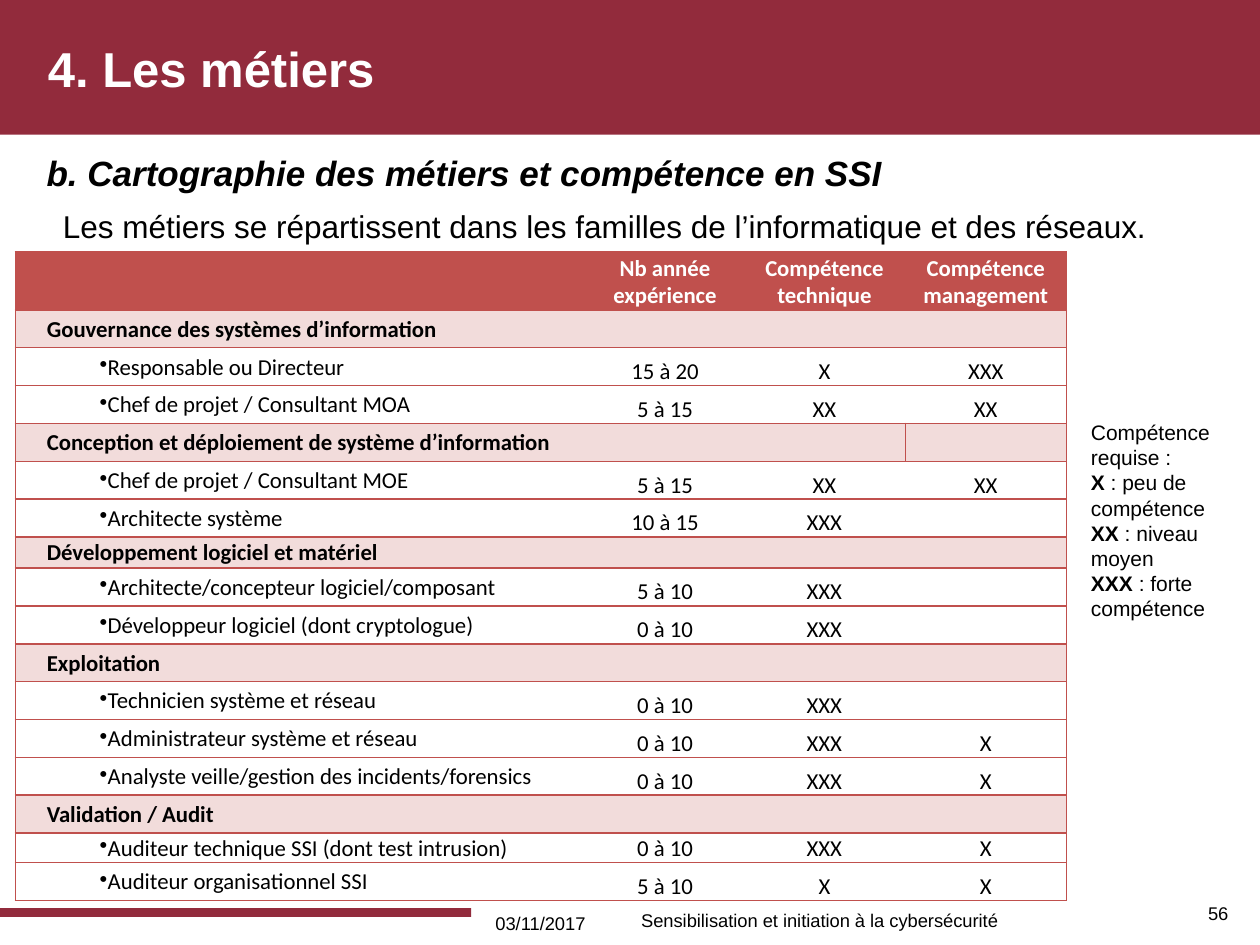
import pptx
import pptx.util
from pptx.dml.color import RGBColor
from pptx.enum.shapes import MSO_SHAPE
from pptx.enum.text import MSO_ANCHOR, MSO_AUTO_SIZE, PP_ALIGN
from pptx.oxml.ns import qn
from lxml import etree

Pt = pptx.util.Pt

# Colours
BURGUNDY = RGBColor(0x92, 0x2B, 0x3C)
RED = RGBColor(0xC0, 0x50, 0x4D)
PINK = RGBColor(0xF2, 0xDC, 0xDB)
WHITE = RGBColor(0xFF, 0xFF, 0xFF)
BLACK = RGBColor(0, 0, 0)

# Content
TITLE = "4. Les métiers"
SUBTITLE = "b. Cartographie des métiers et compétence en SSI"
INTRO = "Les métiers se répartissent dans les familles de l’informatique et des réseaux."
HEADERS = ["", "Nb année\nexpérience", "Compétence\ntechnique", "Compétence\nmanagement"]
FAMILIES = [
    ("Gouvernance des systèmes d’information", [
        ("Responsable ou Directeur", "15 à 20", "X", "XXX"),
        ("Chef de projet / Consultant MOA", "5 à 15", "XX", "XX")]),
    ("Conception et déploiement de système d’information", [
        ("Chef de projet / Consultant MOE", "5 à 15", "XX", "XX"),
        ("Architecte système", "10 à 15", "XXX", "")]),
    ("Développement logiciel et matériel", [
        ("Architecte/concepteur logiciel/composant", "5 à 10", "XXX", ""),
        ("Développeur logiciel (dont cryptologue)", "0 à 10", "XXX", "")]),
    ("Exploitation", [
        ("Technicien système et réseau", "0 à 10", "XXX", ""),
        ("Administrateur système et réseau", "0 à 10", "XXX", "X"),
        ("Analyste veille/gestion des incidents/forensics", "0 à 10", "XXX", "X")]),
    ("Validation / Audit", [
        ("Auditeur technique SSI (dont test intrusion)", "0 à 10", "XXX", "X"),
        ("Auditeur organisationnel SSI", "5 à 10", "X", "X")]),
]
LEGEND = [
    [("Compétence requise :", False)],
    [("X", True), (" : peu de compétence", False)],
    [("XX", True), (" : niveau moyen", False)],
    [("XXX ", True), (": forte compétence", False)],
]
FOOTERS = [  # text, left, top, width, alignment
    ("03/11/2017", 269.3, 513.4, 79.2, PP_ALIGN.CENTER),
    ("Sensibilisation et initiation à la cybersécurité", 359.3, 511.2, 239, PP_ALIGN.LEFT),
    ("56", 683.3, 507.6, 33.8, PP_ALIGN.LEFT),
]

# Table geometry
COLUMN_WIDTHS = [326.2, 90, 92.2, 92.2]
ROW_HEIGHT = 21.64
SPECIAL_HEIGHTS = {0: 33.1, 7: 17.8, 15: 16.9}
MERGED_ROW = 4


def add_span(para, text, size, color=BLACK, bold=False, italic=False, font="Arial"):
    span = para.add_run()
    span.text = text
    span.font.name = font
    span.font.size = Pt(size)
    span.font.bold = bold
    span.font.italic = italic
    span.font.color.rgb = color


def place(shape, left, top, width, height):
    shape.left, shape.top = Pt(left), Pt(top)
    shape.width, shape.height = Pt(width), Pt(height)


def add_text(page, left, top, width, height, paragraphs, size,
             align=PP_ALIGN.LEFT, anchor=MSO_ANCHOR.TOP):
    box = page.shapes.add_textbox(Pt(left), Pt(top), Pt(width), Pt(height))
    frame = box.text_frame
    frame.word_wrap = True
    frame.vertical_anchor = anchor
    for number, spans in enumerate(paragraphs):
        para = frame.add_paragraph() if number else frame.paragraphs[0]
        para.alignment = align
        for text, bold in spans:
            add_span(para, text, size, bold=bold)


def add_border(cell, side, width=1):
    line = etree.SubElement(cell._tc.get_or_add_tcPr(), qn("a:ln" + side), w=str(Pt(width)))
    fill = etree.SubElement(line, qn("a:solidFill"))
    etree.SubElement(fill, qn("a:srgbClr"), val=str(RED))


def set_bullet(para, char=None):
    properties = para._p.get_or_add_pPr()
    properties.set("marL", "0")
    properties.set("indent", "0")
    if char:
        etree.SubElement(properties, qn("a:buChar"), char=char)
    else:
        etree.SubElement(properties, qn("a:buNone"))


def fill_cell(cell, text, column, kind):
    # Borders come before the fill in the cell properties
    if column == 0:
        add_border(cell, "L")
    if column == 3:
        if kind == "merged":
            add_border(cell, "L", 0.5)
        add_border(cell, "R")
    add_border(cell, "T")
    add_border(cell, "B")
    cell.fill.solid()
    cell.fill.fore_color.rgb = {"header": RED, "job": WHITE}.get(kind, PINK)
    job_name = kind == "job" and column == 0
    cell.margin_left = Pt(48.2 if job_name else 18 if column == 0 else 0.7)
    cell.margin_right = cell.margin_top = Pt(0.7)
    cell.margin_bottom = Pt(0)
    cell.vertical_anchor = MSO_ANCHOR.BOTTOM if column else MSO_ANCHOR.MIDDLE
    for number, line in enumerate(text.split("\n")):
        para = cell.text_frame.add_paragraph() if number else cell.text_frame.paragraphs[0]
        para.alignment = PP_ALIGN.CENTER if column else PP_ALIGN.LEFT
        if job_name:
            set_bullet(para, "•")
        if line:
            color = WHITE if kind == "header" else BLACK
            add_span(para, line, 13, color, bold=kind != "job", font="Calibri")
        else:
            etree.SubElement(para._p, qn("a:endParaRPr"), sz="1300")


def add_jobs_table(page):
    rows = [("header", HEADERS)]
    for family, jobs in FAMILIES:
        kind = "merged" if len(rows) == MERGED_ROW else "family"
        rows.append((kind, [family, "", "", ""]))
        rows.extend(("job", job) for job in jobs)
    heights = [SPECIAL_HEIGHTS.get(number, ROW_HEIGHT) for number in range(len(rows))]
    holder = page.shapes.add_table(len(rows), len(COLUMN_WIDTHS), Pt(8.8), Pt(144),
                                   Pt(sum(COLUMN_WIDTHS)), Pt(sum(heights)))
    table = holder.table
    table.first_row = table.horz_banding = False
    # Plain table style without grid
    style = table._tbl.tblPr.find(qn("a:tableStyleId"))
    style.text = "{2D5ABB26-0587-4C30-8999-92F81FD0307C}"
    for column, width in zip(table.columns, COLUMN_WIDTHS):
        column.width = Pt(width)
    for number, (kind, texts) in enumerate(rows):
        table.rows[number].height = Pt(heights[number])
        for column, text in enumerate(texts):
            fill_cell(table.cell(number, column), text, column, kind)
    table.cell(MERGED_ROW, 0).merge(table.cell(MERGED_ROW, 1))


def main():
    deck = pptx.Presentation()
    deck.slide_width, deck.slide_height = Pt(720), Pt(540)
    page = deck.slides.add_slide(deck.slide_layouts[1])
    title, body = page.shapes.title, page.placeholders[1]

    # Burgundy bands behind the text
    for area in [(0, 0, 720, 77), (0, 519, 269.3, 5)]:
        band = page.shapes.add_shape(MSO_SHAPE.RECTANGLE, *map(Pt, area))
        band.shadow.inherit = False
        band.fill.solid()
        band.fill.fore_color.rgb = BURGUNDY
        band.line.fill.background()
        title.element.addprevious(band.element)

    # Title and subtitle
    place(title, 20.2, 0.7, 686, 76.3)
    place(body, 19.4, 82.8, 675.4, 29.5)
    for holder, anchor in [(title, MSO_ANCHOR.MIDDLE), (body, MSO_ANCHOR.TOP)]:
        holder.text_frame.auto_size = MSO_AUTO_SIZE.NONE
        holder.text_frame.vertical_anchor = anchor
        holder.text_frame.paragraphs[0].alignment = PP_ALIGN.LEFT
    add_span(title.text_frame.paragraphs[0], TITLE, 28, WHITE, bold=True)
    heading = body.text_frame.paragraphs[0]
    heading.space_before = Pt(4)
    set_bullet(heading)
    add_span(heading, SUBTITLE, 20, bold=True, italic=True)

    # Introduction, table and legend
    add_text(page, 28.8, 114.5, 663, 29, [[(INTRO, False)]], 18)
    add_jobs_table(page)
    add_text(page, 616.3, 236.2, 105, 138, LEGEND, 12)

    # Footer
    for text, left, top, width, align in FOOTERS:
        add_text(page, left, top, width, 28.8, [[(text, False)]], 10.5, align, MSO_ANCHOR.MIDDLE)

    deck.save("out.pptx")


if __name__ == "__main__":
    main()
